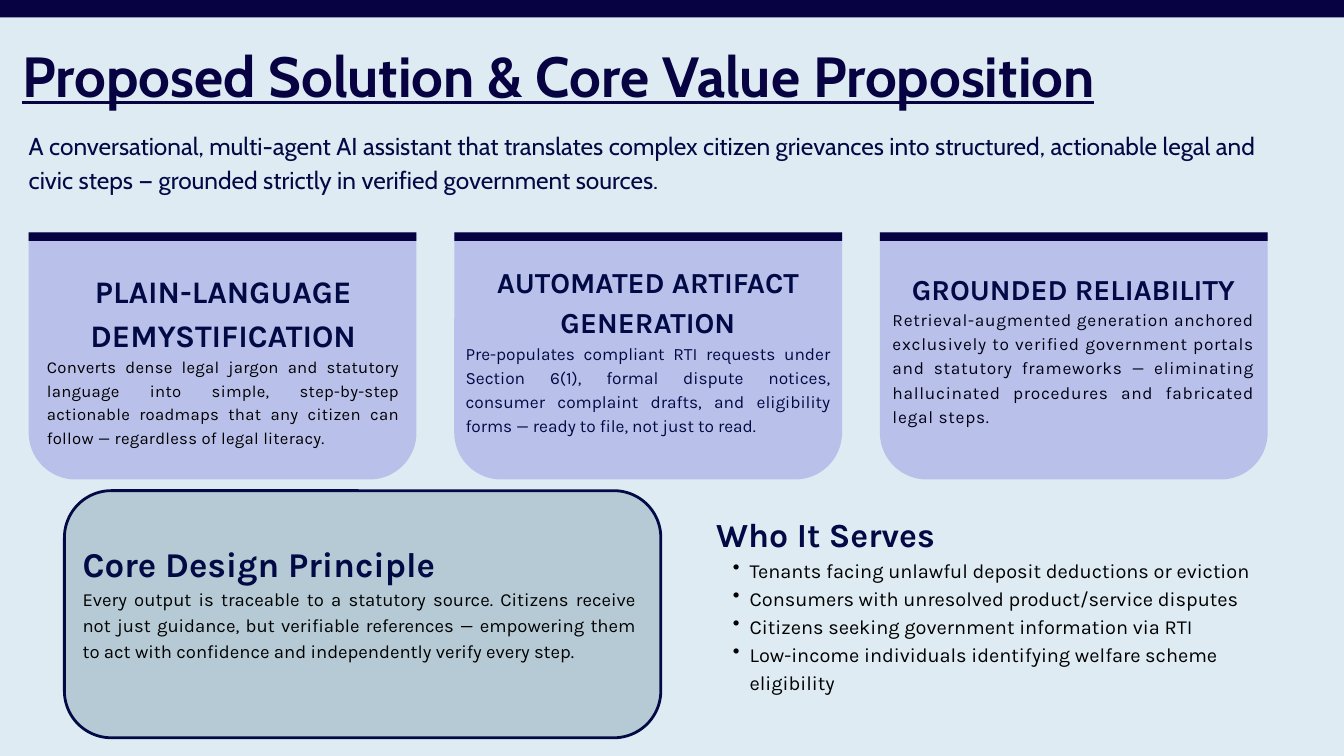
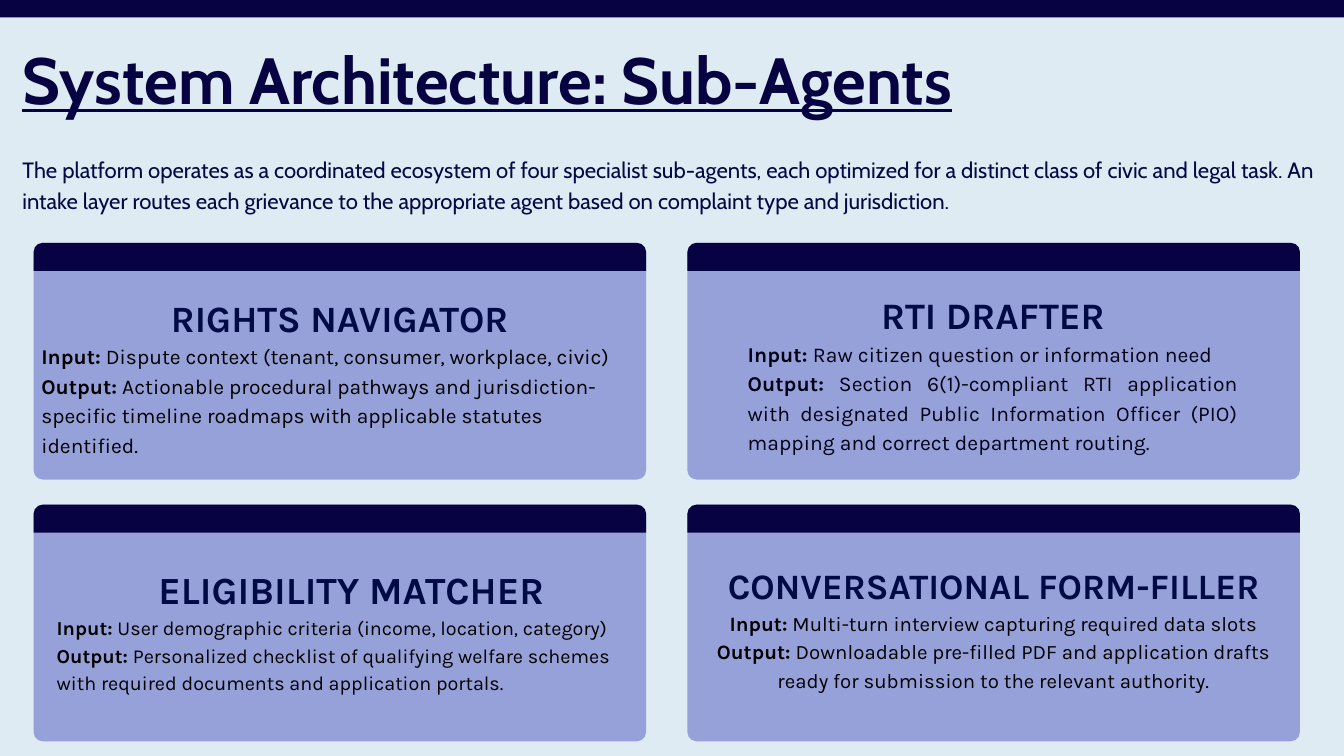
import pptx
import pptx.dml.color
import pptx.enum.shapes
import pptx.enum.text
import pptx.oxml.ns
import pptx.util
from lxml import etree

ALIGN = pptx.enum.text.PP_ALIGN
SHAPE = pptx.enum.shapes.MSO_SHAPE

WIDTH, HEIGHT = 1920, 1080
EMU_PER_PX = 9525
LINE_RATIO = 1.4

BACKGROUND = "DEEBF2"
NAVY = "070241"
INK = "020A45"
BLACK = "000000"
NEAR_BLACK = "010115"
LILAC = "B9C1EB"
PERIWINKLE = "96A1D9"
STEEL = "B6CAD5"

TITLE_FONT = "Cabin"
BODY_FONT = "Karla"


def px(value):
    return pptx.util.Emu(value * EMU_PER_PX)


def rgb(value):
    return pptx.dml.color.RGBColor.from_string(value)


def set_values(target, values):
    for name, value in values.items():
        setattr(target, name, value)


def place(shape, box):
    set_values(shape, dict(zip(("left", "top", "width", "height"), map(px, box))))


# Text

def style(size, color=BLACK, align=ALIGN.LEFT, font=BODY_FONT, tracking=0,
          bold=False, underline=None, bullet=False):
    return dict(size=size, color=color, align=align, font=font, tracking=tracking,
                bold=bold, underline=underline, bullet=bullet)


def heading(size, align=ALIGN.CENTER):
    return style(size, INK, align, bold=True)


def add_bullet(paragraph):
    properties = paragraph._p.get_or_add_pPr()
    set_values(paragraph, {"level": 1})
    properties.set("marL", str(px(48)))
    properties.set("indent", str(px(-24)))
    bullet = etree.SubElement(properties, pptx.oxml.ns.qn("a:buChar"))
    bullet.set("char", "•")


def fill_text(frame, paragraphs):
    """Each paragraph is (style, run, ...); a run is plain text or (text, bold)."""
    set_values(frame, {
        "word_wrap": True, "auto_size": pptx.enum.text.MSO_AUTO_SIZE.NONE,
        "vertical_anchor": pptx.enum.text.MSO_ANCHOR.TOP,
        "margin_left": 0, "margin_right": 0, "margin_top": 0, "margin_bottom": 0,
    })
    for index, (look, *runs) in enumerate(paragraphs):
        paragraph = frame.add_paragraph() if index else frame.paragraphs[0]
        set_values(paragraph, {
            "alignment": look["align"],
            "line_spacing": pptx.util.Pt(round(look["size"] * LINE_RATIO, 1)),
            "space_before": pptx.util.Pt(0),
        })
        if look["bullet"]:
            add_bullet(paragraph)
        for part in runs:
            text, bold = (part, look["bold"]) if isinstance(part, str) else part
            run = paragraph.add_run()
            run.text = text
            set_values(run.font, {
                "name": look["font"], "size": pptx.util.Pt(look["size"]),
                "bold": bold, "underline": look["underline"],
            })
            run.font.color.rgb = rgb(look["color"])
            if look["tracking"]:
                run.font._element.set("spc", str(look["tracking"]))


def add_text(slide, box, paragraphs):
    fill_text(slide.shapes.add_textbox(*map(px, box)).text_frame, paragraphs)


# Shapes

def add_panel(slide, kind, box, fill, radii=(), line=None):
    """Corner radii are px, one for each adjustment of the shape."""
    shape = slide.shapes.add_shape(kind, *map(px, box))
    shape.shadow.inherit = False
    shape.fill.solid()
    shape.fill.fore_color.rgb = rgb(fill)
    for index, radius in enumerate(radii):
        shape.adjustments[index] = radius / min(box[2:])
    if line:
        shape.line.color.rgb = rgb(line)
        shape.line.width = pptx.util.Pt(3)
    else:
        shape.line.fill.background()


def inside(box, offset):
    """Turn a box relative to its panel into a box on the slide."""
    return (box[0] + offset[0], box[1] + offset[1], *offset[2:])


# Shared frame: top band, title and introduction

def start_slide(presentation, title, title_box, title_size, intro, intro_box, intro_size):
    slide = presentation.slides.add_slide(presentation.slide_layouts[5])
    add_panel(slide, SHAPE.RECTANGLE, (-26, -37, 2014, 62), NAVY)
    place(slide.shapes.title, title_box)
    title_style = style(title_size, NAVY, font=TITLE_FONT, bold=True, underline=True)
    fill_text(slide.shapes.title.text_frame, [(title_style, title)])
    add_text(slide, intro_box, [(style(intro_size, INK, font=TITLE_FONT), intro)])
    return slide


# Slide 1 regions

def add_value_card(slide, box, text_box, paragraphs):
    left, top, width, _ = box
    add_panel(slide, SHAPE.ROUND_2_SAME_RECTANGLE, box, LILAC, (0, 67))
    add_panel(slide, SHAPE.RECTANGLE, (left, top, width, 12), NAVY)
    add_text(slide, inside(box, text_box), paragraphs)


def add_principle(slide, box):
    add_panel(slide, SHAPE.ROUNDED_RECTANGLE, box, STEEL, (67,), INK)
    add_text(slide, inside(box, (26, 64, 790, 215)), [
        (heading(37.3, ALIGN.LEFT), "Core Design Principle"),
        (style(19.8, align=ALIGN.JUSTIFY),
         "Every output is traceable to a statutory source. Citizens receive not just "
         "guidance, but verifiable references — empowering them to act with confidence "
         "and independently verify every step."),
    ])


def add_audience(slide, box):
    audiences = [
        "Tenants facing unlawful deposit deductions or eviction",
        "Consumers with unresolved product/service disputes",
        "Citizens seeking government information via RTI",
        "Low-income individuals identifying welfare scheme eligibility",
    ]
    item = style(21.4, bullet=True)
    add_text(slide, box, [(heading(36.2, ALIGN.LEFT), "Who It Serves")]
             + [(item, audience) for audience in audiences])


VALUE_CARDS = [
    ((26, 48, 504, 257), 33.6, "PLAIN-LANGUAGE DEMYSTIFICATION",
     style(17.9, BLACK, ALIGN.JUSTIFY, tracking=30),
     "Converts dense legal jargon and statutory language into simple, step-by-step "
     "actionable roadmaps that any citizen can follow — regardless of legal literacy."),
    ((16, 37, 521, 285), 31.1, "AUTOMATED ARTIFACT GENERATION",
     style(18.5, INK, ALIGN.JUSTIFY),
     "Pre-populates compliant RTI requests under Section 6(1), formal dispute notices, "
     "consumer complaint drafts, and eligibility forms — ready to file, not just to read."),
    ((18, 47, 517, 260), 31.1, "GROUNDED RELIABILITY",
     style(18.5, NEAR_BLACK, ALIGN.JUSTIFY, tracking=80),
     "Retrieval-augmented generation anchored exclusively to verified government portals "
     "and statutory frameworks — eliminating hallucinated procedures and fabricated "
     "legal steps."),
]


def build_solution(presentation):
    slide = start_slide(
        presentation, "Proposed Solution & Core Value Proposition", (32, 42, 1754, 221), 60.6,
        "A conversational, multi-agent AI assistant that translates complex citizen "
        "grievances into structured, actionable legal and civic steps — grounded strictly "
        "in verified government sources.", (41, 180, 1770, 192), 26.2)
    for column, (text_box, size, name, body_style, body) in enumerate(VALUE_CARDS):
        add_value_card(slide, (41 + 608 * column, 332, 554, 353), text_box,
                       [(heading(size), name), (body_style, body)])
    add_principle(slide, (92, 701, 852, 353))
    add_audience(slide, (1023, 724, 788, 300))


# Slide 2 regions

def add_agent_card(slide, box, text_box, size, name, body_style, details):
    left, top, width, _ = box
    add_panel(slide, SHAPE.ROUNDED_RECTANGLE, box, PERIWINKLE, (13,))
    add_panel(slide, SHAPE.ROUND_2_SAME_RECTANGLE, (left, top, width, 40), NAVY, (13, 0))
    add_text(slide, inside(box, text_box), [(heading(size), name)] + [
        (body_style, (label, True), (" " + detail, False))
        for label, detail in zip(("Input:", "Output:"), details)])


AGENT_CARDS = [
    ((11, 64, 853, 242), 39.8, "RIGHTS NAVIGATOR", style(22.5),
     ("Dispute context (tenant, consumer, workplace, civic)",
      "Actionable procedural pathways and jurisdiction-specific timeline roadmaps with "
      "applicable statutes identified.")),
    ((86, 60, 701, 276), 40, "RTI DRAFTER",
     style(22.6, NEAR_BLACK, ALIGN.JUSTIFY, tracking=10),
     ("Raw citizen question or information need",
      "Section 6(1)-compliant RTI application with designated Public Information Officer "
      "(PIO) mapping and correct department routing.")),
    ((33, 76, 842, 192), 41.2, "ELIGIBILITY MATCHER", style(21.2),
     ("User demographic criteria (income, location, category)",
      "Personalized checklist of qualifying welfare schemes with required documents and "
      "application portals.")),
    ((20, 74, 835, 191), 38.3, "CONVERSATIONAL FORM-FILLER", style(21.9, align=ALIGN.CENTER),
     ("Multi-turn interview capturing required data slots",
      "Downloadable pre-filled PDF and application drafts ready for submission to the "
      "relevant authority.")),
]


def build_architecture(presentation):
    slide = start_slide(
        presentation, "System Architecture: Sub-Agents", (32, 37, 1564, 255), 70,
        "The platform operates as a coordinated ecosystem of four specialist sub-agents, "
        "each optimized for a distinct class of civic and legal task. An intake layer routes "
        "each grievance to the appropriate agent based on complaint type and jurisdiction.",
        (32, 217, 1869, 131), 23.7)
    for index, card in enumerate(AGENT_CARDS):
        row, column = divmod(index, 2)
        add_agent_card(slide, (48 + 934 * column, 347 + 374 * row, 875, 338), *card)


def main():
    presentation = pptx.Presentation()
    set_values(presentation, {"slide_width": px(WIDTH), "slide_height": px(HEIGHT)})
    background = presentation.slide_master.background.fill
    background.solid()
    background.fore_color.rgb = rgb(BACKGROUND)
    build_solution(presentation)
    build_architecture(presentation)
    presentation.save("out.pptx")


if __name__ == "__main__":
    main()
